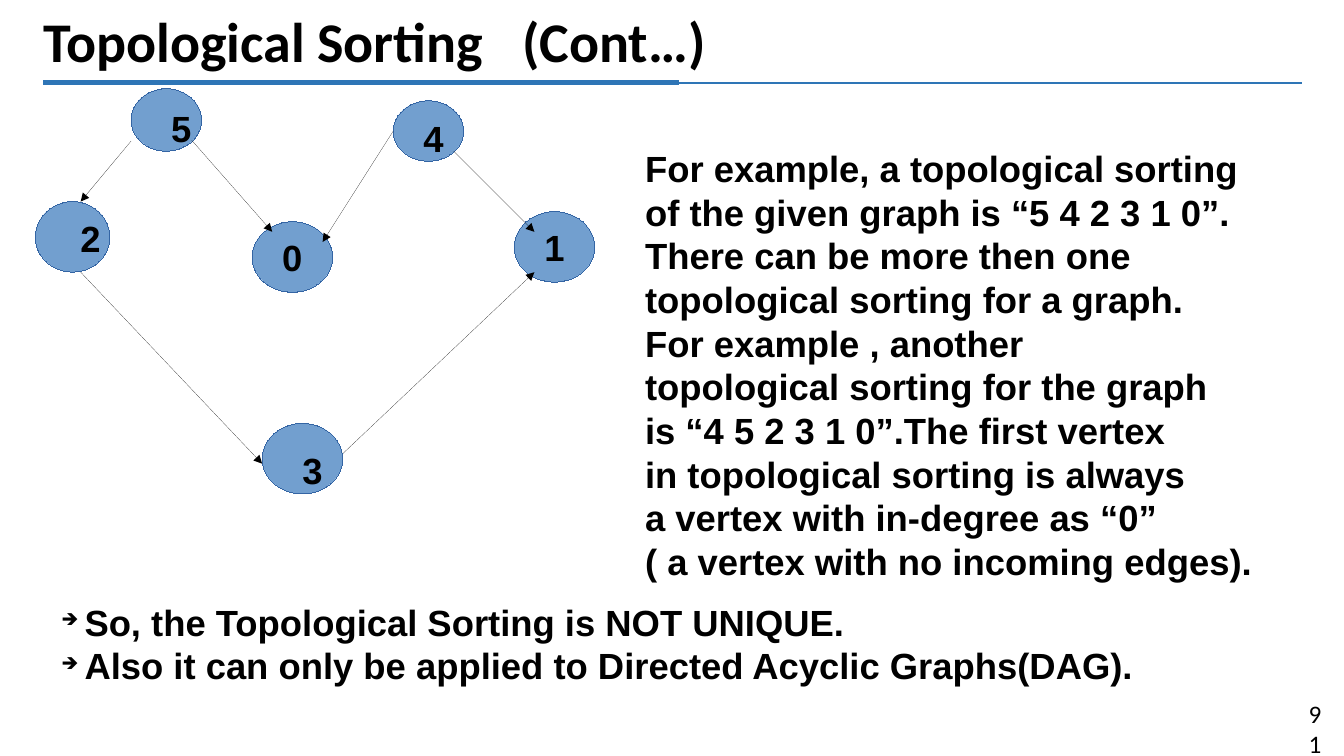
from dataclasses import dataclass

from lxml.etree import SubElement
from pptx import Presentation
from pptx.dml.color import RGBColor
from pptx.enum.shapes import MSO_CONNECTOR as Connector, MSO_SHAPE as Shape
from pptx.enum.text import MSO_ANCHOR as Anchor, PP_ALIGN as Align
from pptx.oxml.ns import qn
from pptx.util import Inches, Pt


@dataclass(frozen=True)
class Theme:
    """Colours, fonts and type sizes of the slide."""
    ink: RGBColor = RGBColor(0, 0, 0)
    rule: RGBColor = RGBColor(0x2E, 0x75, 0xB6)
    node_fill: RGBColor = RGBColor(0x72, 0x9F, 0xCF)
    node_line: RGBColor = RGBColor(0x34, 0x65, 0xA4)
    heading_font: str = "Calibri"
    body_font: str = "Arial"
    title_size: int = 40
    body_size: int = 26
    number_size: int = 18


THEME = Theme()

NODES = {
    "5": (0.95, 0, 0.7, 0.62),
    "2": (0, 1.12, 0.74, 0.7),
    "0": (2.15, 1.32, 0.8, 0.7),
    "4": (3.55, 0.12, 0.7, 0.6),
    "1": (4.75, 1.22, 0.8, 0.7),
    "3": (2.25, 3.32, 0.8, 0.7),
}
LABEL_OFFSETS = {"5": (0.3, 0.12), "2": (0.35, 0.1), "4": (0.2, 0.1), "3": (0.3, 0.2)}
EDGES = [
    (0.45, 1.82, 2.25, 3.72),
    (0.95, 0.52, 0.45, 1.12),
    (1.55, 0.51, 2.35, 1.42),
    (3.55, 0.42, 2.85, 1.52),
    (4.15, 0.62, 4.95, 1.42),
    (3.05, 3.62, 4.95, 1.82),
]
EXPLANATION = [
    "For example, a topological sorting",
    "of the given graph is “5 4 2 3 1 0”.",
    "There can be more then one",
    "topological sorting for a graph.",
    "For example , another",
    "topological sorting for the graph",
    "is “4 5 2 3 1 0”.The first vertex",
    "in topological sorting is always",
    "a vertex with in-degree as “0”",
    "( a vertex with no incoming edges).",
]
CONCLUSIONS = [
    "So, the Topological Sorting is NOT UNIQUE.",
    "Also it can only be applied to Directed Acyclic Graphs(DAG).",
]


def style_text(paragraph, font=THEME.body_font, size=THEME.body_size, bold=True):
    """Format every run of a paragraph."""
    for run in paragraph.runs:
        run.font.name = font
        run.font.size = Pt(size)
        run.font.bold = bold
        run.font.color.rgb = THEME.ink


def drop_style(shape):
    """Remove the theme style reference from a shape or connector."""
    shape._element.remove(shape._element.find(qn("p:style")))


def add_text(slide, box, lines, align=Align.LEFT):
    """Add a wrapped body text box with one paragraph per line."""
    text_box = slide.shapes.add_textbox(*map(Inches, box))
    text_frame = text_box.text_frame
    text_frame.word_wrap = True
    text_frame.text = "\n".join(lines)
    for paragraph in text_frame.paragraphs:
        paragraph.alignment = align
        style_text(paragraph)
    return text_frame


def add_line(slide, start, end, color):
    """Add a straight connector without a shadow."""
    line = slide.shapes.add_connector(Connector.STRAIGHT, *map(Inches, (*start, *end)))
    drop_style(line)
    line.line.color.rgb = color
    SubElement(line._element.spPr, qn("a:effectLst"))
    return line


def add_heading(slide, box):
    """Place the title and the two-weight rule below it."""
    left, top, width, height = box
    title = slide.shapes.title
    title.left, title.top, title.width, title.height = map(Inches, box)
    text_frame = title.text_frame
    text_frame.text = "Topological Sorting\t(Cont…)"
    text_frame.vertical_anchor = Anchor.TOP
    paragraph = text_frame.paragraphs[0]
    paragraph.alignment = Align.LEFT
    paragraph.line_spacing = 0.85
    tabs = SubElement(paragraph._p.get_or_add_pPr(), qn("a:tabLst"))
    SubElement(tabs, qn("a:tab"), pos=str(Inches(4.75)), algn="l")
    style_text(paragraph, THEME.heading_font, THEME.title_size)

    rule_y = top + height + 0.01
    for offset, weight in ((0.1, 4), (6.28, 1.5)):
        start = left + offset
        rule = add_line(slide, (start, rule_y), (start + 6.3, rule_y), THEME.rule)
        rule.line.width = Pt(weight)


def add_node(slide, box, label=None):
    """Draw one vertex, with a centred label if one is given."""
    node = slide.shapes.add_shape(Shape.OVAL, *map(Inches, box))
    drop_style(node)
    node.shadow.inherit = False
    node.fill.solid()
    node.fill.fore_color.rgb = THEME.node_fill
    node.line.color.rgb = THEME.node_line
    if label:
        text_frame = node.text_frame
        text_frame.word_wrap = False
        text_frame.vertical_anchor = Anchor.MIDDLE
        text_frame.text = label
        text_frame.paragraphs[0].alignment = Align.CENTER
        style_text(text_frame.paragraphs[0])


def add_graph(slide, left, top):
    """Draw the directed graph from its top left corner."""
    for name, (x, y, width, height) in NODES.items():
        label = None if name in LABEL_OFFSETS else name
        add_node(slide, (left + x, top + y, width, height), label)
    for x1, y1, x2, y2 in EDGES:
        edge = add_line(slide, (left + x1, top + y1), (left + x2, top + y2), THEME.ink)
        SubElement(edge.line._get_or_add_ln(), qn("a:tailEnd"), type="triangle")
    for name, (dx, dy) in LABEL_OFFSETS.items():
        x, y = NODES[name][:2]
        add_text(slide, (left + x + dx, top + y + dy, 0.4, 0.5), [name])


def add_conclusions(slide, box):
    """Add the closing points with small arrow bullets."""
    text_frame = add_text(slide, box, CONCLUSIONS)
    for paragraph in text_frame.paragraphs:
        properties = paragraph._p.get_or_add_pPr()
        properties.set("marL", str(Inches(0.24)))
        properties.set("indent", str(Inches(-0.23)))
        color = SubElement(properties, qn("a:buClr"))
        SubElement(color, qn("a:srgbClr"), val=str(THEME.ink))
        SubElement(properties, qn("a:buSzPct"), val="45000")
        SubElement(properties, qn("a:buChar"), char="➔")


def add_page_number(slide, box):
    """Add the page number in the lower right corner."""
    text_frame = add_text(slide, box, ["91"], Align.RIGHT)
    text_frame.vertical_anchor = Anchor.MIDDLE
    style_text(text_frame.paragraphs[0], THEME.heading_font, THEME.number_size, False)


def main():
    """Build the slide and save the presentation."""
    presentation = Presentation()
    presentation.slide_width = Inches(13.33)
    presentation.slide_height = Inches(7.5)
    slide = presentation.slides.add_slide(presentation.slide_layouts[5])
    add_page_number(slide, (12.88, 7.03, 0.28, 0.4))
    add_heading(slide, (0.33, 0.12, 12.56, 0.69))
    add_graph(slide, 0.35, 0.88)
    add_text(slide, (6.3, 1.4, 6.23, 4.13), EXPLANATION, Align.JUSTIFY)
    add_conclusions(slide, (0.5, 5.9, 10.86, 0.9))
    presentation.save("out.pptx")


if __name__ == "__main__":
    main()
